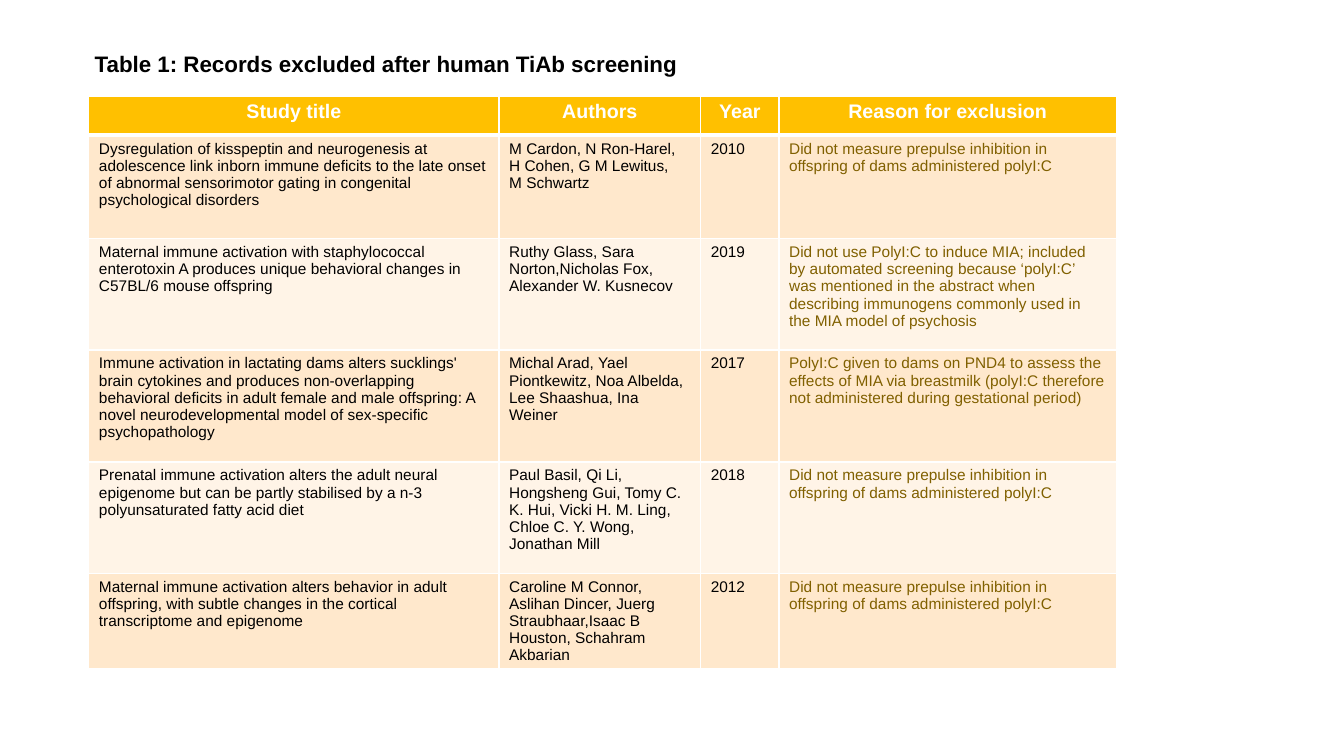
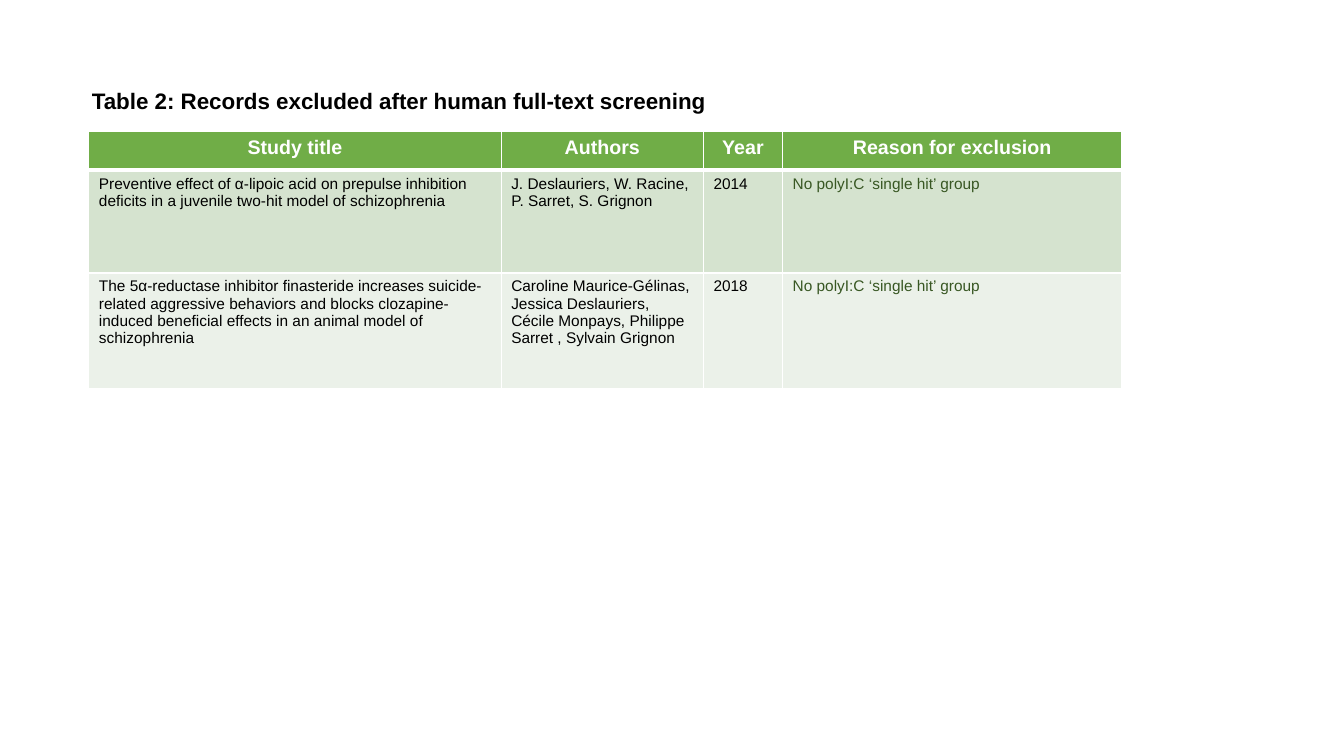
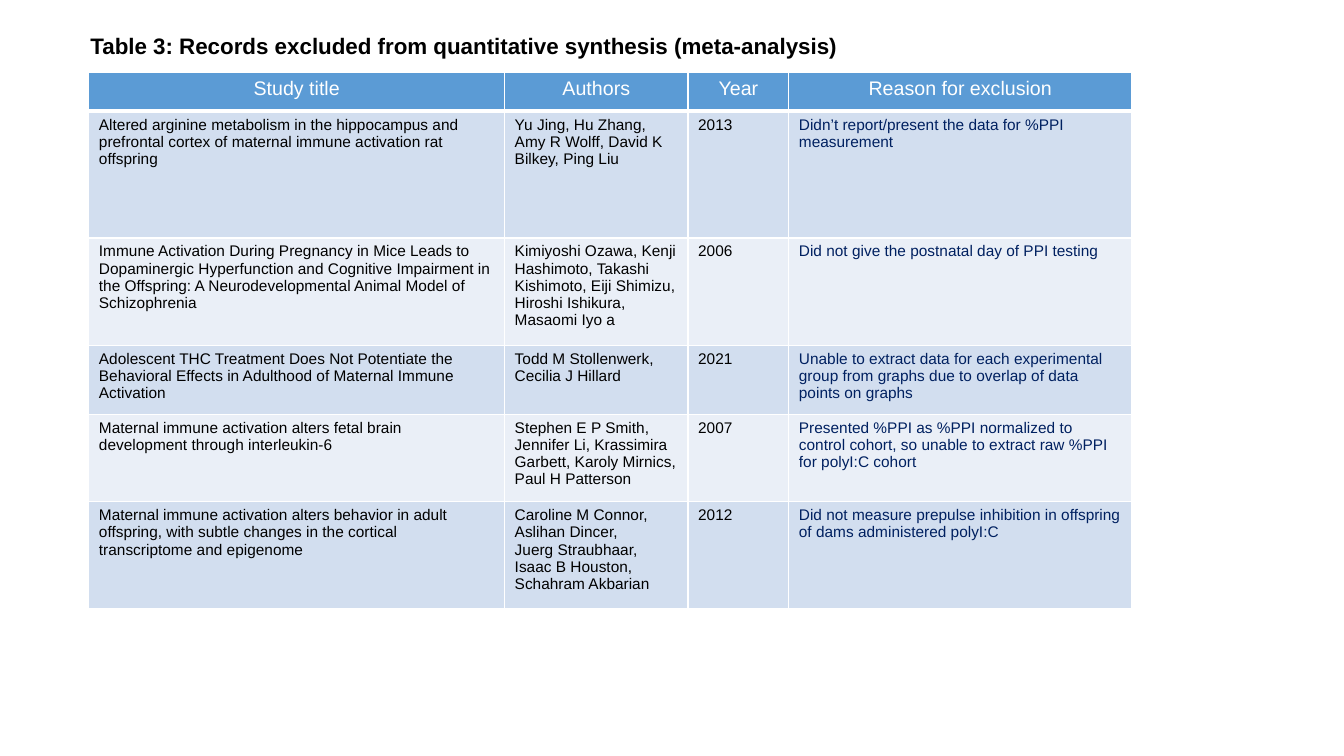
"""Build three slides, each a titled table of excluded records."""
from dataclasses import dataclass

from lxml import etree
from pptx import Presentation
from pptx.dml.color import RGBColor
from pptx.enum.text import MSO_AUTO_SIZE, PP_ALIGN
from pptx.oxml.ns import qn
from pptx.util import Pt

CENTER, LEFT = PP_ALIGN.CENTER, PP_ALIGN.LEFT
GROW = MSO_AUTO_SIZE.SHAPE_TO_FIT_TEXT
HEADINGS = ("Study title", "Authors", "Year", "Reason for exclusion")


@dataclass(frozen=True)
class Theme:
    """Colours, type sizes and line widths shared by the slides."""
    font: str = "Arial"
    ink: str = "000000"
    white: str = "FFFFFF"
    title_size: float = 16
    heading_size: float = 14
    body_size: float = 11
    thin: float = 1
    thick: float = 3


@dataclass(frozen=True)
class Palette:
    """Colours of one table."""
    heading: str
    bands: tuple
    reason: str


THEME = Theme()
GOLD = Palette("FFC000", ("FFE8CC", "FFF4E7"), "806000")
GREEN = Palette("70AD47", ("D5E3CF", "EBF1E9"), "385723")
BLUE = Palette("5B9BD5", ("D2DEEF", "EAEFF7"), "002060")

NO_PPI = "Did not measure prepulse inhibition in offspring of dams administered polyI:C"
NO_SINGLE_HIT = "No polyI:C ‘single hit’ group"
CONNOR_TITLE = ("Maternal immune activation alters behavior in adult offspring, with subtle "
                "changes in the cortical transcriptome and epigenome")

TIAB_RECORDS = (
    ("Dysregulation of kisspeptin and neurogenesis at adolescence link inborn immune deficits "
     "to the late onset of abnormal sensorimotor gating in congenital psychological disorders",
     "M Cardon, N Ron-Harel, \nH Cohen, G M Lewitus,\nM Schwartz ",
     "2010", NO_PPI),
    ("Maternal immune activation with staphylococcal enterotoxin A produces unique behavioral "
     "changes in C57BL/6 mouse offspring",
     "Ruthy Glass, Sara Norton,Nicholas Fox, Alexander W. Kusnecov",
     "2019",
     "Did not use PolyI:C to induce MIA; included by automated screening because ‘polyI:C’ was "
     "mentioned in the abstract when describing immunogens commonly used in the MIA model of "
     "psychosis"),
    ("Immune activation in lactating dams alters sucklings' brain cytokines and produces "
     "non-overlapping behavioral deficits in adult female and male offspring: A novel "
     "neurodevelopmental model of sex-specific psychopathology",
     "Michal Arad, Yael Piontkewitz, Noa Albelda,\nLee Shaashua, Ina Weiner",
     "2017",
     "PolyI:C given to dams on PND4 to assess the effects of MIA via breastmilk (polyI:C "
     "therefore not administered during gestational period)"),
    ("Prenatal immune activation alters the adult neural epigenome but can be partly stabilised "
     "by a n-3 polyunsaturated fatty acid diet",
     "Paul Basil, Qi Li, Hongsheng Gui, Tomy C. K. Hui, Vicki H. M. Ling,\n"
     "Chloe C. Y. Wong,\nJonathan Mill",
     "2018", NO_PPI),
    (CONNOR_TITLE,
     "Caroline M Connor, Aslihan Dincer, Juerg Straubhaar,Isaac B Houston, Schahram Akbarian",
     "2012", NO_PPI),
)

FULL_TEXT_RECORDS = (
    ("Preventive effect of α-lipoic acid on prepulse inhibition deficits in a juvenile two-hit "
     "model of schizophrenia",
     "J. Deslauriers, W. Racine,\nP. Sarret, S. Grignon",
     "2014", NO_SINGLE_HIT),
    ("The 5α-reductase inhibitor finasteride increases suicide-related aggressive behaviors and "
     "blocks clozapine-induced beneficial effects in an animal model of schizophrenia",
     "Caroline Maurice-Gélinas, Jessica Deslauriers, Cécile Monpays, Philippe Sarret , "
     "Sylvain Grignon",
     "2018", NO_SINGLE_HIT),
)

SYNTHESIS_RECORDS = (
    ("Altered arginine metabolism in the hippocampus and prefrontal cortex of maternal immune "
     "activation rat offspring",
     "Yu Jing, Hu Zhang, Amy R Wolff, David K Bilkey, Ping Liu",
     "2013", "Didn’t report/present the data for %PPI measurement"),
    ("Immune Activation During Pregnancy in Mice Leads to Dopaminergic Hyperfunction and "
     "Cognitive Impairment in the Offspring: A Neurodevelopmental Animal Model of Schizophrenia",
     "Kimiyoshi Ozawa, Kenji Hashimoto, Takashi Kishimoto, Eiji Shimizu, Hiroshi Ishikura, "
     "Masaomi Iyo a",
     "2006", "Did not give the postnatal day of PPI testing"),
    ("Adolescent THC Treatment Does Not Potentiate the Behavioral Effects in Adulthood of "
     "Maternal Immune Activation",
     "Todd M Stollenwerk, Cecilia J Hillard",
     "2021",
     "Unable to extract data for each experimental group from graphs due to overlap of data "
     "points on graphs"),
    ("Maternal immune activation alters fetal brain development through interleukin-6",
     "Stephen E P Smith, Jennifer Li, Krassimira Garbett, Karoly Mirnics, Paul H Patterson",
     "2007",
     "Presented %PPI as %PPI normalized to control cohort, so unable to extract raw %PPI for "
     "polyI:C cohort"),
    (CONNOR_TITLE,
     "Caroline M Connor, Aslihan Dincer,\nJuerg Straubhaar,\nIsaac B Houston, Schahram Akbarian",
     "2012", NO_PPI),
)


def write(frame, text, size, color, bold=False, align=LEFT):
    """Fill a text frame with one styled run per line of text."""
    for index, line in enumerate(text.split("\n")):
        paragraph = frame.add_paragraph() if index else frame.paragraphs[0]
        paragraph.alignment = align
        run = paragraph.add_run()
        run.text = line
        run.font.name = THEME.font
        run.font.size = Pt(size)
        run.font.bold = bold
        run.font.color.rgb = RGBColor.from_string(color)


def rule_cell(cell, top, bottom):
    """Draw white borders around a cell."""
    properties = cell._tc.get_or_add_tcPr()
    widths = (("a:lnL", THEME.thin), ("a:lnR", THEME.thin), ("a:lnT", top), ("a:lnB", bottom))
    for tag, width in widths:
        border = etree.SubElement(properties, qn(tag), w=str(Pt(width)))
        fill = etree.SubElement(border, qn("a:solidFill"))
        etree.SubElement(fill, qn("a:srgbClr"), val=THEME.white)


def paint_cell(cell, color, top, bottom):
    """Give a cell its borders and its fill."""
    rule_cell(cell, top, bottom)
    cell.fill.solid()
    cell.fill.fore_color.rgb = RGBColor.from_string(color)


def add_title(slide, box, text):
    """Place the table title in its box."""
    title = slide.shapes.add_textbox(*map(Pt, box))
    frame = title.text_frame
    frame.word_wrap = True
    frame.auto_size = GROW
    write(frame, text, THEME.title_size, THEME.ink, bold=True)


def add_records(slide, origin, widths, heights, palette, records, bold_headings):
    """Place a table of records with its top left corner at the origin."""
    box = (*origin, sum(widths), sum(heights))
    table = slide.shapes.add_table(len(heights), len(widths), *map(Pt, box)).table
    for column, width in zip(table.columns, widths):
        column.width = Pt(width)
    for row, height in zip(table.rows, heights):
        row.height = Pt(height)
    for cell, heading in zip(table.rows[0].cells, HEADINGS):
        paint_cell(cell, palette.heading, THEME.thin, THEME.thick)
        write(cell.text_frame, heading, THEME.heading_size, THEME.white, bold_headings, CENTER)
    inks = (THEME.ink, THEME.ink, THEME.ink, palette.reason)
    for index, record in enumerate(records):
        top = THEME.thin if index else THEME.thick
        for cell, text, ink in zip(table.rows[index + 1].cells, record, inks):
            paint_cell(cell, palette.bands[index % 2], top, THEME.thin)
            write(cell.text_frame, text, THEME.body_size, ink)


def add_record_slide(deck, title, title_box, origin, widths, heights, palette, records,
                     bold_headings=True):
    """Add one slide with a table and its title."""
    slide = deck.slides.add_slide(deck.slide_layouts[6])
    add_records(slide, origin, widths, heights, palette, records, bold_headings)
    add_title(slide, title_box, title)


def main():
    """Build and save the deck."""
    deck = Presentation()
    deck.slide_width, deck.slide_height = Pt(960), Pt(540)
    add_record_slide(
        deck, "Table 1: Records excluded after human TiAb screening",
        (60.5, 32.5, 538.5, 26.5), (63.5, 68.5),
        (293, 144, 56, 241), (28, 74, 79.5, 80, 79.5, 65), GOLD, TIAB_RECORDS)
    add_record_slide(
        deck, "Table 2: Records excluded after human full-text screening",
        (58.5, 58.5, 538.5, 26.5), (63.5, 94),
        (294.5, 144.5, 56.5, 242.5), (27.5, 73.5, 82.5), GREEN, FULL_TEXT_RECORDS)
    add_record_slide(
        deck, "Table 3: Records excluded from quantitative synthesis (meta-analysis)",
        (57.5, 19.5, 581, 26.5), (63.5, 52),
        (297, 131, 72, 245), (27.5, 90.5, 77, 49, 62.5, 76.5), BLUE, SYNTHESIS_RECORDS,
        bold_headings=False)
    deck.save("out.pptx")


if __name__ == "__main__":
    main()
